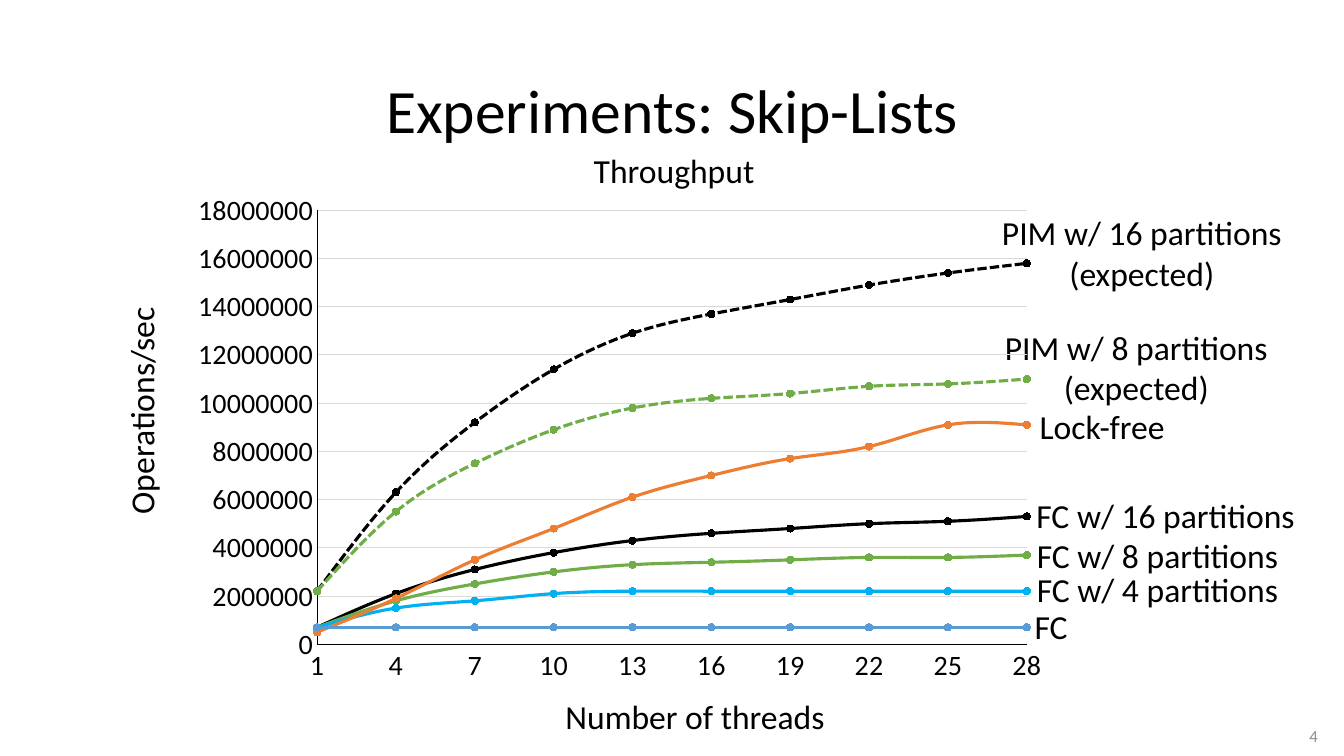
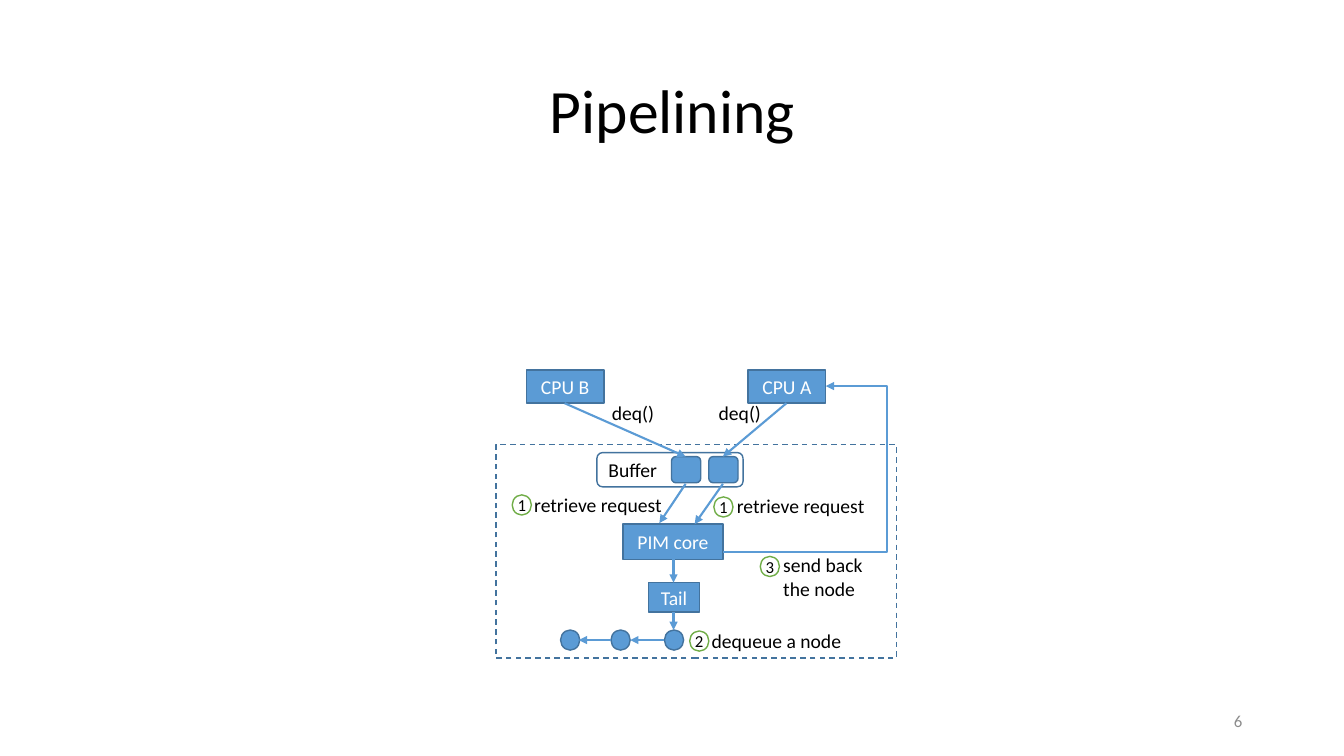
"""Build a throughput chart slide and a pipelining diagram slide."""
from dataclasses import dataclass
from typing import Any, NamedTuple, Optional

from lxml.etree import SubElement
from pptx import Presentation
from pptx.chart.data import XyChartData
from pptx.dml.color import RGBColor
from pptx.enum.chart import XL_CHART_TYPE as ChartType, XL_MARKER_STYLE as Marker, XL_TICK_MARK as Tick
from pptx.enum.dml import MSO_LINE as Dash
from pptx.enum.shapes import MSO_CONNECTOR as Link, MSO_SHAPE as Preset
from pptx.enum.text import MSO_ANCHOR as Anchor, PP_ALIGN as Align
from pptx.oxml import parse_xml
from pptx.oxml.ns import nsdecls, qn
from pptx.util import Inches, Pt


@dataclass(frozen=True)
class Theme:
    """Colours, font and type sizes of the deck."""

    font: str = "Calibri"
    black: str = "000000"
    white: str = "FFFFFF"
    grey: str = "8C8C8C"
    grid: str = "D9D9D9"
    blue: str = "5B9BD5"
    edge: str = "43739E"
    green: str = "70AD47"
    orange: str = "ED7D31"
    cyan: str = "00B0F0"
    title: int = 44
    label: int = 24
    tick: int = 20
    node: int = 14
    small: int = 12


THEME = Theme()


class Area(NamedTuple):
    """Left, top, width and height in inches."""

    left: float
    top: float
    width: float
    height: float

    def lengths(self) -> list:
        """Return the four lengths as Inches."""
        return [Inches(value) for value in self]


class Label(NamedTuple):
    """A text and the area it fills."""

    text: str
    area: Area


class Curve(NamedTuple):
    """A chart series, in units of a hundred thousand operations."""

    color: str
    values: list[int]
    dashed: bool = False


class Node(NamedTuple):
    """A diagram shape with its caption."""

    area: Area
    text: str = ""
    preset: Any = Preset.RECTANGLE
    fill: Optional[str] = THEME.blue
    color: str = THEME.white
    align: Any = Align.CENTER
    dash: Any = None


class Arrow(NamedTuple):
    """Start and end points of an arrow."""

    x1: float
    y1: float
    x2: float
    y2: float


THREADS = range(1, 29, 3)
CURVES = [
    Curve(THEME.blue, [7] * 10),
    Curve(THEME.orange, [5, 19, 35, 48, 61, 70, 77, 82, 91, 91]),
    Curve(THEME.cyan, [7, 15, 18, 21, 22, 22, 22, 22, 22, 22]),
    Curve(THEME.green, [7, 18, 25, 30, 33, 34, 35, 36, 36, 37]),
    Curve(THEME.black, [7, 21, 31, 38, 43, 46, 48, 50, 51, 53]),
    Curve(THEME.green, [22, 55, 75, 89, 98, 102, 104, 107, 108, 110], True),
    Curve(THEME.black, [22, 63, 92, 114, 129, 137, 143, 149, 154, 158], True),
]
CURVE_LABELS = [
    Label("Lock-free", Area(10.14, 4.05, 1.58, 0.36)),
    Label("FC w/ 16 partitions", Area(10.17, 4.91, 2.78, 0.4)),
    Label("FC w/ 8 partitions", Area(10.1, 5.21, 2.76, 0.6)),
    Label("FC w/ 4 partitions", Area(10.1, 5.61, 2.76, 0.47)),
    Label("PIM w/ 16 partitions (expected)", Area(9.79, 2.23, 3.07, 0.55)),
    Label("PIM w/ 8 partitions\n(expected)", Area(9.79, 3.19, 2.96, 0.9)),
    Label("FC", Area(9.7, 6.03, 1.45, 0.36)),
]
CHART_AREA = Area(1.74, 1.85, 8.67, 5.15)
PLOT_AREA = Area(0.162, 0.046, 0.812, 0.836)

NODES = [
    Node(Area(4.92, 4.41, 3.97, 2.12), fill=None, dash=Dash.DASH),
    Node(Area(5.22, 3.67, 0.77, 0.33), "CPU B"),
    Node(Area(7.42, 3.67, 0.77, 0.33), "CPU A"),
    Node(Area(6.18, 5.2, 0.99, 0.35), "PIM core"),
    Node(Area(6.43, 5.78, 0.51, 0.29), "Tail"),
    *[Node(Area(left, 6.25, 0.19, 0.2), preset=Preset.OVAL) for left in (5.56, 6.06, 6.59)],
    *[Node(Area(left, 4.53, 0.29, 0.26), preset=Preset.ROUNDED_RECTANGLE) for left in (6.66, 7.03)],
    Node(Area(5.92, 4.49, 1.45, 0.34), "Buffer", Preset.ROUNDED_RECTANGLE, None, THEME.black, Align.LEFT),
]
ARROWS = [
    Arrow(5.6, 4, 6.8, 4.53),
    Arrow(7.8, 4, 7.17, 4.53),
    Arrow(6.8, 4.8, 6.54, 5.19),
    Arrow(7.17, 4.8, 6.89, 5.2),
    Arrow(6.68, 5.55, 6.68, 5.78),
    Arrow(6.68, 6.07, 6.68, 6.25),
    Arrow(6.59, 6.35, 6.25, 6.35),
    Arrow(6.06, 6.35, 5.74, 6.35),
]
SEND_BACK = Arrow(7.17, 5.48, 8.19, 3.83)
SEND_BACK_RIGHT = 8.8
CALLS = [Label("deq()", Area(left, 3.93, 0.63, 0.34)) for left in (5.97, 7.03)]
STEPS = [
    Label("retrieve request", Area(5.2, 4.84, 1.83, 0.34)),
    Label("retrieve request", Area(7.21, 4.85, 1.66, 0.34)),
    Label("dequeue a node", Area(6.96, 6.19, 1.5, 0.34)),
    Label("send back\nthe node", Area(7.67, 5.44, 1.17, 0.57)),
]
BADGES = [
    Label("1", Area(5.08, 4.91, 0.19, 0.2)),
    Label("1", Area(7.08, 4.93, 0.19, 0.2)),
    Label("2", Area(6.84, 6.26, 0.19, 0.2)),
    Label("3", Area(7.54, 5.52, 0.19, 0.2)),
]


def rgb(color: str) -> RGBColor:
    """Turn a hex string into a colour."""
    return RGBColor.from_string(color)


def style_font(font: Any, size: int, color: str = THEME.black) -> None:
    """Apply the deck's typeface with a size and colour."""
    font.name, font.size = THEME.font, Pt(size)
    font.color.rgb = rgb(color)


def write_text(frame: Any, text: str, *, size: int, color: str = THEME.black, align: Any = Align.LEFT,
               anchor: Any = Anchor.TOP, wrap: bool = True, spacing: Optional[float] = None) -> None:
    """Fill a text frame, one paragraph for each line of text."""
    frame.text = text
    frame.word_wrap, frame.vertical_anchor = wrap, anchor
    for para in frame.paragraphs:
        para.alignment, para.line_spacing = align, spacing
        for span in para.runs:
            style_font(span.font, size, color)


def add_label(slide: Any, label: Label, **text_format: Any) -> Any:
    """Add a text box for a label."""
    box = slide.shapes.add_textbox(*label.area.lengths())
    write_text(box.text_frame, label.text, **text_format)
    return box


def add_page(deck: Any, title: str, number: Label) -> Any:
    """Add a slide with its title and page number."""
    page = deck.slides.add_slide(deck.slide_layouts[5])
    heading = page.shapes.title
    heading.left, heading.top, heading.width, heading.height = Area(0.92, 0.4, 11.5, 1.45).lengths()
    write_text(heading.text_frame, title, size=THEME.title, align=Align.CENTER, anchor=Anchor.MIDDLE, spacing=0.9)
    add_label(page, number, size=THEME.small, color=THEME.grey, align=Align.RIGHT, anchor=Anchor.MIDDLE)
    return page


def style_line(line: Any, color: str, width: float, dash: Any = None) -> None:
    """Set a line's colour, width and dash."""
    line.color.rgb, line.width = rgb(color), Pt(width)
    if dash is not None:
        line.dash_style = dash


def add_node(slide: Any, node: Node, *, edge: str = THEME.edge, size: int = THEME.node, tight: bool = False) -> None:
    """Draw a diagram shape; a tight one has no text margins."""
    shape = slide.shapes.add_shape(node.preset, *node.area.lengths())
    shape.shadow.inherit = False
    if node.fill:
        shape.fill.solid()
        shape.fill.fore_color.rgb = rgb(node.fill)
    else:
        shape.fill.background()
    style_line(shape.line, edge, 1, node.dash)
    if node.text:
        frame = shape.text_frame
        write_text(frame, node.text, size=size, color=node.color, align=node.align, anchor=Anchor.MIDDLE,
                   wrap=not tight)
        if tight:
            frame.margin_left = frame.margin_right = frame.margin_top = frame.margin_bottom = 0


def add_arrow(slide: Any, arrow: Arrow, bend: Optional[float] = None) -> None:
    """Draw an arrow, straight or turning at the x position of the bend."""
    kind = Link.STRAIGHT if bend is None else Link.ELBOW
    connector = slide.shapes.add_connector(kind, *[Inches(value) for value in arrow])
    style_line(connector.line, THEME.blue, 1.5)
    properties = connector.element.spPr
    SubElement(properties.find(qn("a:ln")), qn("a:tailEnd"), type="triangle")
    SubElement(properties, qn("a:effectLst"))
    if bend is not None:
        ratio = round((bend - arrow.x1) / (arrow.x2 - arrow.x1) * 100000)
        guides = properties.find(qn("a:prstGeom")).get_or_add_avLst()
        SubElement(guides, qn("a:gd"), name="adj1", fmla=f"val {ratio}")


def style_axis(axis: Any, low: int, high: int, step: int) -> None:
    """Set an axis scale, line and tick labels."""
    axis.minimum_scale, axis.maximum_scale, axis.major_unit = low, high, step
    axis.major_tick_mark = axis.minor_tick_mark = Tick.NONE
    axis.has_major_gridlines = False
    axis.tick_labels.number_format, axis.tick_labels.number_format_is_linked = "General", False
    style_font(axis.tick_labels.font, THEME.tick)
    style_line(axis.format.line, THEME.black, 0.75)


def place_plot(chart: Any, area: Area) -> None:
    """Fix the inner plot area as fractions of the chart."""
    plot_area = chart.element.find(f".//{qn('c:plotArea')}")
    for layout in plot_area.findall(qn("c:layout")):
        plot_area.remove(layout)
    modes = '<c:layoutTarget val="inner"/><c:xMode val="edge"/><c:yMode val="edge"/>'
    sizes = "".join(f'<c:{tag} val="{value}"/>' for tag, value in zip("xywh", area))
    plot_area.insert(0, parse_xml(
        f"<c:layout {nsdecls('c')}><c:manualLayout>{modes}{sizes}</c:manualLayout></c:layout>"))


def add_throughput_chart(slide: Any) -> None:
    """Draw throughput against the number of threads."""
    data = XyChartData()
    for number, curve in enumerate(CURVES, 1):
        points = data.add_series(f"Series {number}")
        for threads, value in zip(THREADS, curve.values):
            points.add_data_point(threads, value * 100_000)
    chart = slide.shapes.add_chart(ChartType.XY_SCATTER_SMOOTH, *CHART_AREA.lengths(), data).chart
    chart.has_legend = chart.has_title = False
    style_font(chart.font, 10)
    style_axis(chart.category_axis, 1, 28, 3)
    style_axis(chart.value_axis, 0, 18_000_000, 2_000_000)
    style_line(chart.value_axis.major_gridlines.format.line, THEME.grid, 0.75)
    place_plot(chart, PLOT_AREA)
    chart.plots[0].vary_by_categories = False
    for smooth in chart.element.iter(qn("c:smooth")):
        smooth.set("val", "1")
    for series, curve in zip(chart.plots[0].series, CURVES):
        style_line(series.format.line, curve.color, 2.25, Dash.SQUARE_DOT if curve.dashed else None)
        series.marker.style, series.marker.size = Marker.CIRCLE, 5
        series.marker.format.fill.solid()
        series.marker.format.fill.fore_color.rgb = rgb(curve.color)
        style_line(series.marker.format.line, curve.color, 0.75)


def build_experiments(deck: Any) -> None:
    """Build the skip-list throughput slide."""
    page = add_page(deck, "Experiments: Skip-Lists", Label("4", Area(12.32, 7.1, 0.85, 0.4)))
    for label in CURVE_LABELS:
        add_label(page, label, size=THEME.label, align=Align.CENTER, anchor=Anchor.MIDDLE)
    add_throughput_chart(page)
    add_label(page, Label("Throughput", Area(5.79, 1.44, 1.81, 0.5)), size=THEME.label, wrap=False)
    add_label(page, Label("Number of threads", Area(5.51, 6.85, 2.8, 0.5)), size=THEME.label, wrap=False)
    add_label(page, Label("Operations/sec", Area(0.08, 3.63, 2.64, 0.5)), size=THEME.label).rotation = 270


def build_pipelining(deck: Any) -> None:
    """Build the dequeue pipelining slide."""
    page = add_page(deck, "Pipelining", Label("6", Area(9.42, 6.95, 3, 0.4)))
    for node in NODES:
        add_node(page, node)
    for arrow in ARROWS:
        add_arrow(page, arrow)
    add_arrow(page, SEND_BACK, SEND_BACK_RIGHT)
    for label in CALLS + STEPS:
        add_label(page, label, size=THEME.node, wrap=False)
    for badge in BADGES:
        node = Node(badge.area, badge.text, Preset.OVAL, THEME.white, THEME.black)
        add_node(page, node, edge=THEME.green, size=THEME.small, tight=True)


def main() -> None:
    """Build and save the deck."""
    deck = Presentation()
    deck.slide_width, deck.slide_height = Inches(13.33), Inches(7.5)
    build_experiments(deck)
    build_pipelining(deck)
    deck.save("out.pptx")


main()
